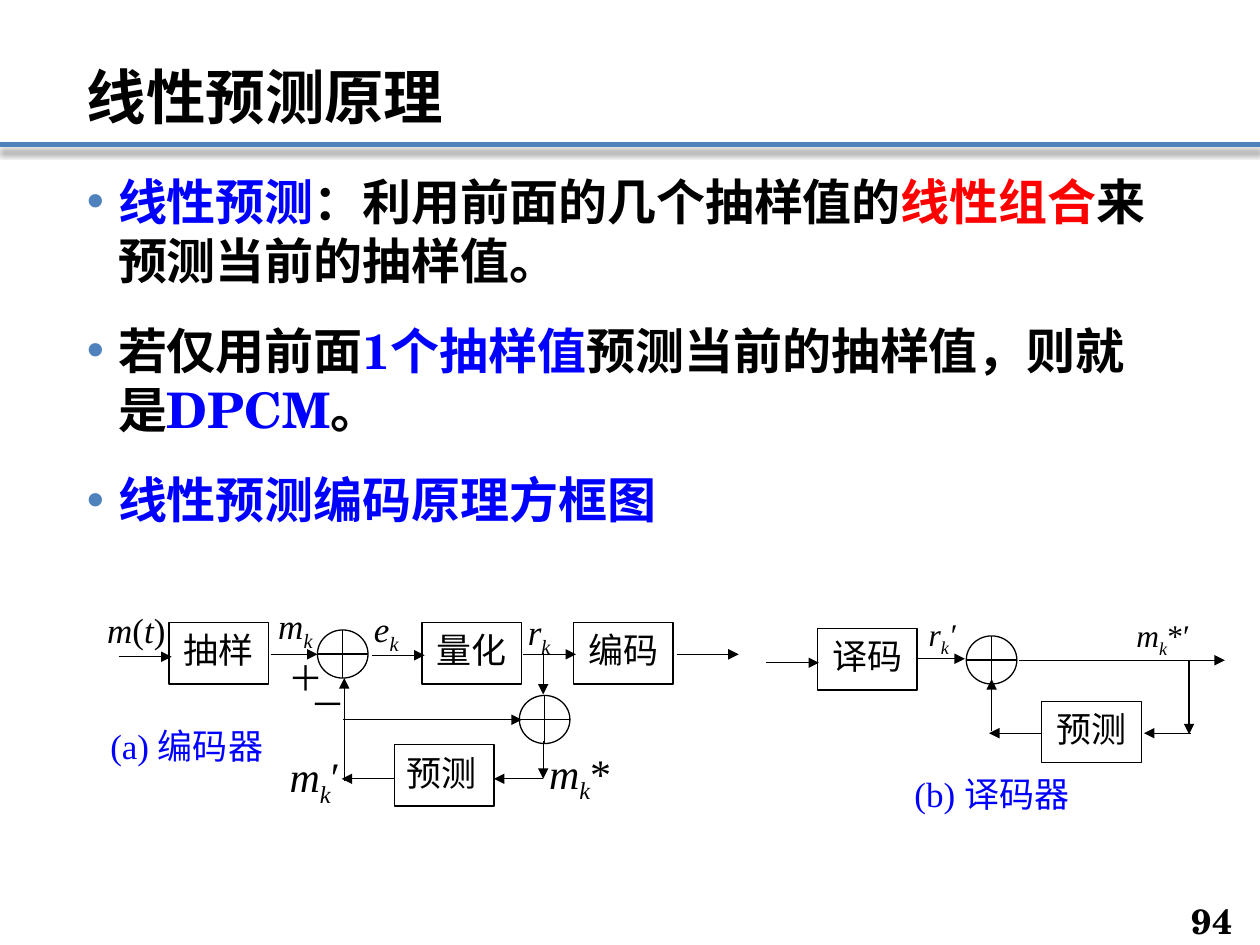
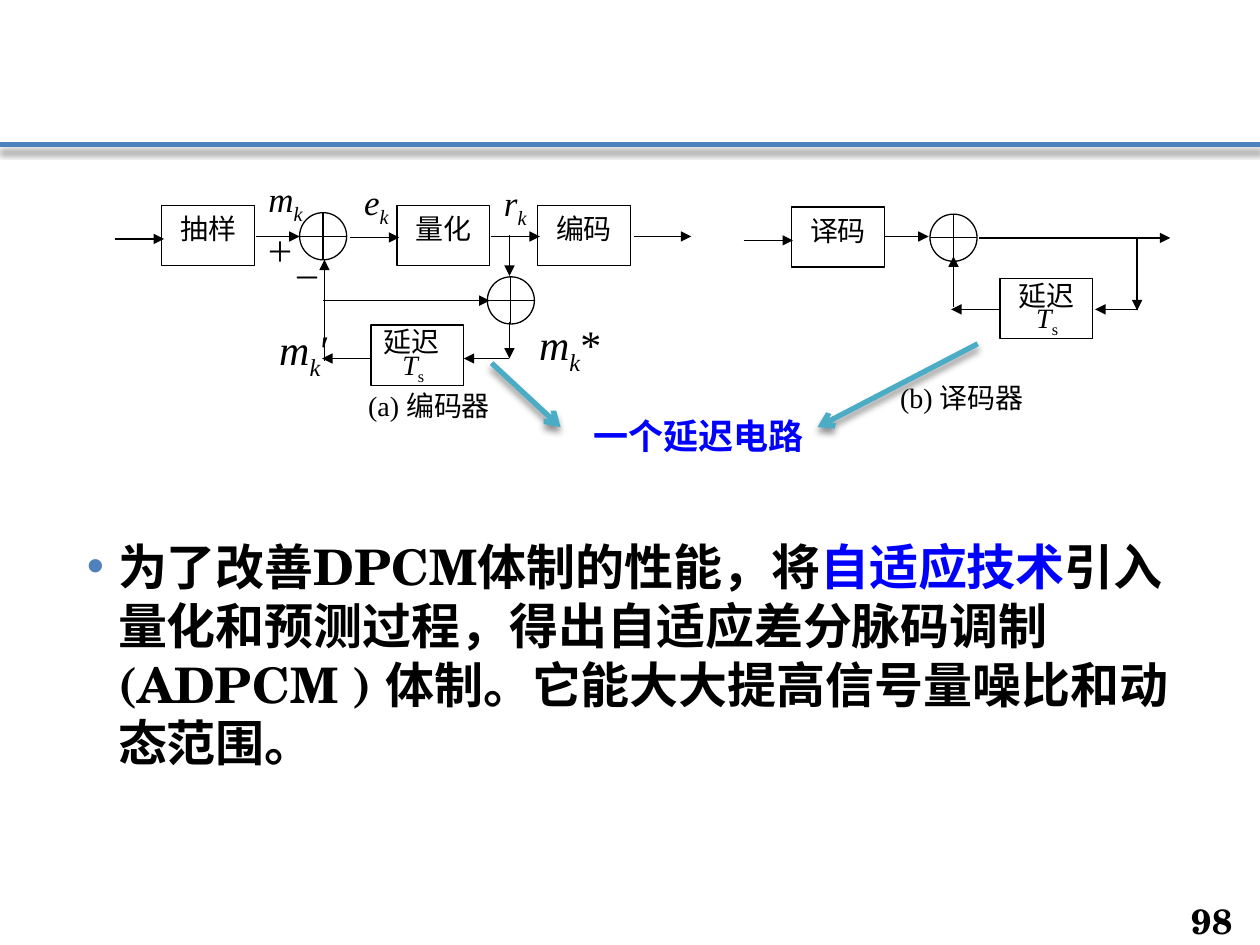
from lxml import etree
from pptx import Presentation
from pptx.dml.color import RGBColor
from pptx.enum.shapes import MSO_CONNECTOR, MSO_SHAPE
from pptx.enum.text import MSO_ANCHOR, PP_ALIGN
from pptx.oxml.ns import qn
from pptx.util import Cm, Pt

STRAIGHT = MSO_CONNECTOR.STRAIGHT
RECTANGLE, ADDER = MSO_SHAPE.RECTANGLE, MSO_SHAPE.FLOWCHART_OR
LEFT, CENTER, RIGHT = PP_ALIGN.LEFT, PP_ALIGN.CENTER, PP_ALIGN.RIGHT
TOP, MIDDLE, BOTTOM = MSO_ANCHOR.TOP, MSO_ANCHOR.MIDDLE, MSO_ANCHOR.BOTTOM

BLACK, WHITE, BLUE, RED = "000000", "FFFFFF", "0000FF", "FF0000"
ACCENT, TEAL = "4F81BD", "4BACC6"
HEADING_FONT, DIAGRAM_FONT = "TeX Gyre Schola", "Times New Roman"
color = RGBColor.from_string


def add_text(slide, box, paragraphs, size, font=DIAGRAM_FONT, ink=BLACK, bold=False,
             align=LEFT, anchor=TOP, bullet=False, wrap=True):
    """Each paragraph is a list of (text, mark); a mark is a colour, "italic" and/or "sub"."""
    shape = slide.shapes.add_textbox(*[Cm(length) for length in box])
    frame = shape.text_frame
    frame.word_wrap = wrap
    frame.vertical_anchor = anchor
    for index, runs in enumerate(paragraphs):
        paragraph = frame.paragraphs[0] if index == 0 else frame.add_paragraph()
        paragraph.alignment = align
        if index:
            paragraph.space_before = Pt(18)
        if bullet:
            properties = paragraph._p.get_or_add_pPr()
            properties.set("marL", str(Cm(0.63)))
            properties.set("indent", str(-Cm(0.63)))
            bullet_color = etree.SubElement(properties, qn("a:buClr"))
            etree.SubElement(bullet_color, qn("a:srgbClr"), val=ACCENT)
            etree.SubElement(properties, qn("a:buFont"), typeface="Arial")
            etree.SubElement(properties, qn("a:buChar"), char="•")
        paragraph.font.name = font
        paragraph.font.size = Pt(size)
        paragraph.font.bold = bold
        paragraph.font.color.rgb = color(ink)
        for text, mark in runs:
            run = paragraph.add_run()
            run.text = text
            if mark in (BLUE, RED):
                run.font.color.rgb = color(mark)
            if "italic" in mark:
                run.font.italic = True
            if "sub" in mark:
                run._r.get_or_add_rPr().set("baseline", "-25000")
    return shape


def add_line(slide, ends, ink=BLACK, width=0.75, head=None, shadow=False):
    connector = slide.shapes.add_connector(STRAIGHT, *[Cm(length) for length in ends])
    connector.line.color.rgb = color(ink)
    connector.line.width = Pt(width)
    if head:
        etree.SubElement(connector.line._get_or_add_ln(), qn("a:tailEnd"), type=head)
    effects = etree.SubElement(connector._element.spPr, qn("a:effectLst"))
    if shadow:
        outer = etree.SubElement(effects, qn("a:outerShdw"), blurRad=str(Pt(4)),
                                 dist=str(Pt(3)), dir="5400000", rotWithShape="0")
        shade = etree.SubElement(outer, qn("a:srgbClr"), val=BLACK)
        etree.SubElement(shade, qn("a:alpha"), val="43000")


# Signal names
M_K = [("m", "italic"), ("k", "italic sub")]
E_K = [("e", "italic"), ("k", "italic sub")]
R_K = [("r", "italic"), ("k", "italic sub")]
T_S = [("T", "italic"), ("s", "sub")]
M_T = [("m", "italic"), ("(", ""), ("t", "italic"), (")", "")]
M_PRIME = M_K + [("′", "")]
M_STAR = M_K + [("*", "")]

# Block diagrams in cm from their own origin; None stands for the feedback block
BLOCK_SIZE, ADDER_SIZE = (2.01, 1.24), (1.02, 0.97)
ENCODER = {
    "blocks": [("抽样", 1.02, 0), ("量化", 6.12, 0), ("编码", 9.17, 0), (None, 5.56, 2.46)],
    "adders": [(4.01, 0.15), (8.08, 1.47)],
    "arrows": [(0, 0.69, 1.07, 0.69), (3.07, 0.64, 4.01, 0.64), (5.11, 0.66, 6.17, 0.66),
               (8.15, 0.64, 9.22, 0.64), (11.25, 0.64, 12.5, 0.64),
               (8.56, 0.61, 8.56, 1.45), (4.52, 1.96, 8.13, 1.96),
               (8.56, 2.39, 8.56, 3.15), (8.56, 3.15, 7.57, 3.15),
               (5.56, 3.15, 4.5, 3.15), (4.55, 3.2, 4.55, 1.12)],
    "feedback_align": LEFT,
}
DECODER = {
    "blocks": [("译码", 1.04, 0), (None, 5.56, 1.47)],
    "adders": [(4.04, 0.15)],
    "arrows": [(0, 0.69, 1.07, 0.69), (3.07, 0.61, 4.01, 0.61), (5.11, 0.64, 9.25, 0.64),
               (8.53, 0.66, 8.53, 2.13), (8.56, 2.11, 7.62, 2.11),
               (5.54, 2.11, 4.5, 2.11), (4.55, 2.06, 4.55, 1.02)],
    "feedback_align": CENTER,
}

# Content of the two slides; a label is (left, top, width, height, size, runs)
SLIDES = [
    {
        "number": "94", "title": "线性预测原理",
        "body_box": (1.5, 3.33, 22.4, 10),
        "body": [
            [("线性预测", BLUE), ("：利用前面的几个抽样值的", ""), ("线性组合", RED),
             ("来预测当前的抽样值。", "")],
            [("若仅用前面", ""), ("1个抽样值", BLUE), ("预测当前的抽样值，则就是", ""),
             ("DPCM", BLUE), ("。", "")],
            [("线性预测编码原理方框图", BLUE)],
        ],
        "feedback": "预测", "feedback_top_inset": 0.13, "block_text_size": 20,
        "scale": (1, 1),
        "diagrams": [(ENCODER, 2.39, 12.55), (DECODER, 15.44, 12.67)],
        "caption_color": BLUE,
        "captions": [(1.3, 14.48, 4.93, 1.3, 20, "(a) 编码器"),
                     (17.91, 15.44, 4.17, 1.3, 20, "(b) 译码器")],
        "labels": [
            (22.66, 12.29, 2.01, 1.3, 18, M_K + [("*′", "")]),
            (18.47, 12.27, 1.6, 1.14, 18, R_K + [("′", "italic")]),
            (5.59, 15.01, 1.78, 1.32, 24, M_PRIME),
            (10.82, 14.94, 1.8, 1.32, 24, M_STAR),
            (1.91, 12.14, 1.98, 1.24, 20, M_T),
            (5.36, 12.07, 1.6, 1.17, 20, M_K),
            (7.29, 12.12, 1.6, 1.17, 20, E_K),
            (10.39, 12.19, 1.6, 1.17, 20, R_K),
            (5.56, 13.11, 1.14, 1.17, 20, [("＋", "")]),
            (6.02, 13.64, 1.14, 0.99, 20, [("－", "")]),
        ],
    },
    {
        "number": "98", "title": None,
        "body_box": (1.5, 10.69, 22.4, 6.6),
        "body": [
            [("为了改善DPCM体制的性能，将", ""), ("自适应技术", BLUE),
             ("引入量化和预测过程，得出自适应差分脉码调制(ADPCM ) 体制。"
              "它能大大提高信号量噪比和动态范围。", "")],
        ],
        "feedback": "延迟", "feedback_top_inset": 0, "block_text_size": 16,
        "scale": (0.93, 0.98),
        "diagrams": [(ENCODER, 2.31, 4.14), (DECODER, 14.99, 4.17)],
        "caption_color": BLACK,
        "captions": [(7.14, 7.7, 3.02, 1.07, 16, "(a) 编码器"),
                     (17.88, 7.54, 3.02, 1.07, 16, "(b) 译码器")],
        "labels": [
            (20.64, 5.94, 1.52, 1.04, 16, T_S),
            (7.86, 6.88, 1.52, 1.04, 16, T_S),
            (5.13, 4.6, 1.19, 1.04, 16, [("＋", "")]),
            (5.66, 5.13, 1.19, 1.04, 16, [("－", "")]),
            (5.38, 6.4, 1.78, 1.32, 24, M_PRIME),
            (10.62, 6.3, 1.8, 1.32, 24, M_STAR),
            (5.16, 3.45, 1.6, 1.17, 20, M_K),
            (7.09, 3.51, 1.6, 1.17, 20, E_K),
            (9.91, 3.53, 1.6, 1.17, 20, R_K),
        ],
    },
]

presentation = Presentation()
presentation.slide_width, presentation.slide_height = Cm(25.4), Cm(19.05)

for content in SLIDES:
    slide = presentation.slides.add_slide(presentation.slide_layouts[6])

    # Band, title, body and page number
    add_line(slide, (0, 2.92, 25.4, 2.92), ACCENT, 3, shadow=True)
    if content["title"]:
        title = add_text(slide, (1.5, 0.53, 22.4, 2.26), [[(content["title"], "")]], 34,
                         HEADING_FONT, bold=True, anchor=BOTTOM)
        title.text_frame.paragraphs[0].line_spacing = 0.9
    add_text(slide, content["body_box"], content["body"], 28, HEADING_FONT, bold=True,
             bullet=True)
    add_text(slide, (23.34, 18.21, 1.75, 0.71), [[(content["number"], "")]], 20,
             HEADING_FONT, bold=True, align=RIGHT, anchor=MIDDLE)

    # Block diagrams
    scale_x, scale_y = content["scale"]
    for diagram, origin_x, origin_y in content["diagrams"]:
        parts = [(RECTANGLE, BLOCK_SIZE, *block) for block in diagram["blocks"]]
        parts += [(ADDER, ADDER_SIZE, "", *adder) for adder in diagram["adders"]]
        for kind, (width, height), text, x, y in parts:
            shape = slide.shapes.add_shape(
                kind, Cm(origin_x + x * scale_x), Cm(origin_y + y * scale_y),
                Cm(width * scale_x), Cm(height * scale_y))
            shape.shadow.inherit = False
            shape.fill.solid()
            shape.fill.fore_color.rgb = color(WHITE)
            shape.line.color.rgb = color(BLACK)
            shape.line.width = Pt(0.75)
            if text == "":
                continue
            frame = shape.text_frame
            frame.vertical_anchor = TOP
            frame.margin_top = Cm(0.13 if text else content["feedback_top_inset"])
            paragraph = frame.paragraphs[0]
            paragraph.text = text or content["feedback"]
            paragraph.alignment = CENTER if text else diagram["feedback_align"]
            paragraph.font.name = DIAGRAM_FONT
            paragraph.font.size = Pt(content["block_text_size"])
            paragraph.font.color.rgb = color(BLACK)
        for x1, y1, x2, y2 in diagram["arrows"]:
            add_line(slide, (origin_x + x1 * scale_x, origin_y + y1 * scale_y,
                             origin_x + x2 * scale_x, origin_y + y2 * scale_y),
                     head="triangle")

    # Captions and signal labels
    for *box, size, text in content["captions"]:
        add_text(slide, box, [[(text, "")]], size, ink=content["caption_color"], align=CENTER)
    for *box, size, runs in content["labels"]:
        add_text(slide, box, [runs], size)

# Callout to both delay blocks on the last slide
add_text(slide, (11.71, 8.23, 4.78, 1.12), [[("一个延迟电路", "")]], 20, "Arial", BLUE,
         bold=True, wrap=False)
for ends in [(9.91, 7.32, 11.3, 8.61), (19.71, 6.93, 16.48, 8.61)]:
    add_line(slide, ends, TEAL, 3, head="arrow", shadow=True)

presentation.save("out.pptx")
